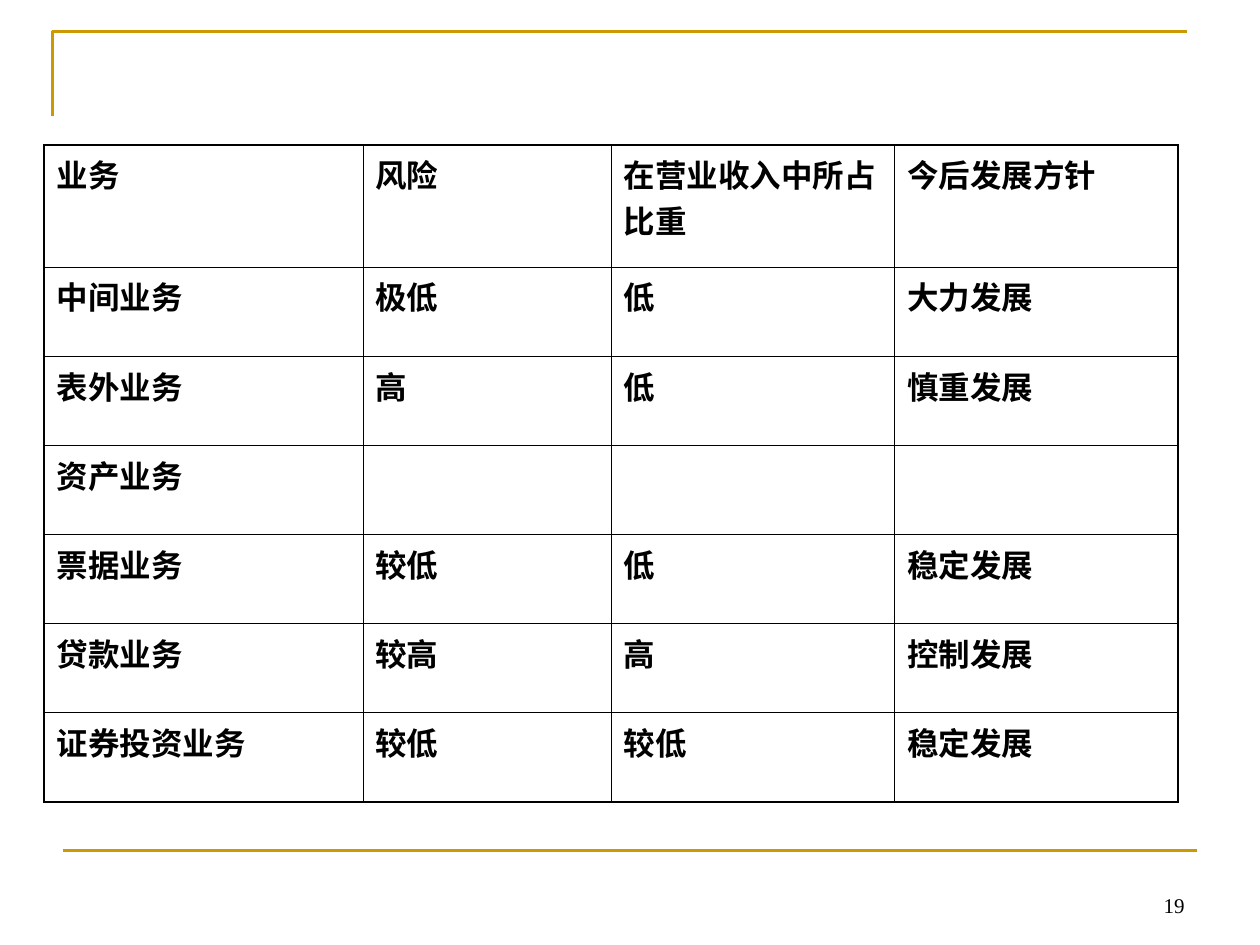
from lxml import etree
from pptx import Presentation
from pptx import util as u
from pptx.dml.color import RGBColor
from pptx.enum import shapes, text
from pptx.oxml.ns import qn

COLS, ROWS = 40, 30
HEADS = ["业务", "风险", "在营业收入中所占比重", "今后发展方针"]
LINES = [
    ["中间业务", "极低", "低", "大力发展"],
    ["表外业务", "高", "低", "慎重发展"],
    ["资产业务", "", "", ""],
    ["票据业务", "较低", "低", "稳定发展"],
    ["贷款业务", "较高", "高", "控制发展"],
    ["证券投资业务", "较低", "较低", "稳定发展"],
]


def tint(code):
    return RGBColor.from_string(code)


class Deck:
    ink, gold = "000000", "CC9900"
    thin, thick, rule = 0.45, 1.08, 1.5

    def __init__(self):
        self.prs = Presentation()
        self.prs.slide_width, self.prs.slide_height = u.Inches(10), u.Inches(7.5)
        self.slide = self.prs.slides.add_slide(self.prs.slide_layouts[6])

    def x(self, col):
        return u.Emu(round(self.prs.slide_width * col / COLS))

    def y(self, row):
        return u.Emu(round(self.prs.slide_height * row / ROWS))

    def stroke(self, item):
        item.line.color.rgb = tint(self.gold)
        item.line.width = u.Pt(self.rule)

    def corner(self, left, top, width, height):
        start, *rest = [(self.x(c), self.y(r)) for c, r in
                        [(left, top + height), (left, top), (left + width, top)]]
        pen = self.slide.shapes.build_freeform(*start)
        pen.add_line_segments(rest, close=False)
        shape = pen.convert_to_shape()
        shape.shadow.inherit = False
        shape.fill.background()
        self.stroke(shape)

    def line(self, left, right, row):
        bar = self.slide.shapes.add_connector(
            shapes.MSO_CONNECTOR.STRAIGHT,
            self.x(left), self.y(row), self.x(right), self.y(row))
        self.stroke(bar)
        etree.SubElement(bar._element.spPr, qn("a:effectLst"))

    def font(self, para, size, face, bold=False):
        for run in para.runs:
            run.font.size, run.font.name = u.Pt(size), face
            run.font.bold = bold
            run.font.color.rgb = tint(self.ink)

    def edges(self, cell, outer):
        props = cell._tc.get_or_add_tcPr()
        for spot, side in enumerate("LRTB"):
            width = self.thick if side in outer else self.thin
            edge = etree.Element(qn("a:ln" + side), w=str(u.Pt(width)))
            fill = etree.SubElement(edge, qn("a:solidFill"))
            etree.SubElement(fill, qn("a:srgbClr"), val=self.ink)
            props.insert(spot, edge)

    def table(self, left, top, widths, heights, data):
        grid = self.slide.shapes.add_table(
            len(heights), len(widths), self.x(left), self.y(top),
            self.x(sum(widths)), self.y(sum(heights))).table
        grid.first_row = grid.horz_banding = False
        for col, width in zip(grid.columns, widths):
            col.width = self.x(width)
        for row, height in zip(grid.rows, heights):
            row.height = self.y(height)
        for r, words in enumerate(data):
            for c, word in enumerate(words):
                cell = grid.cell(r, c)
                cell.fill.background()
                cell.text_frame.text = word
                self.font(cell.text_frame.paragraphs[0], 18, "Arial", True)
                ends = {"L": c == 0, "R": c == len(widths) - 1,
                        "T": r == 0, "B": r == len(heights) - 1}
                self.edges(cell, [side for side in ends if ends[side]])

    def label(self, left, top, width, height, words):
        frame = self.slide.shapes.add_textbox(
            self.x(left), self.y(top), self.x(width), self.y(height)).text_frame
        frame.word_wrap = True
        frame.vertical_anchor = text.MSO_ANCHOR.BOTTOM
        frame.text = words
        para = frame.paragraphs[0]
        para.alignment = text.PP_ALIGN.RIGHT
        self.font(para, 12, "Times New Roman")


def main():
    deck = Deck()
    deck.corner(1.67, 1, 36, 2.67)
    deck.line(2, 38, 27)
    deck.table(1.4, 4.6, [10.12, 7.88, 9, 9],
               [3.88] + [2.83] * len(LINES), [HEADS] + LINES)
    deck.label(28.67, 27.33, 9.33, 2, "19")
    deck.prs.save("out.pptx")


if __name__ == "__main__":
    main()
